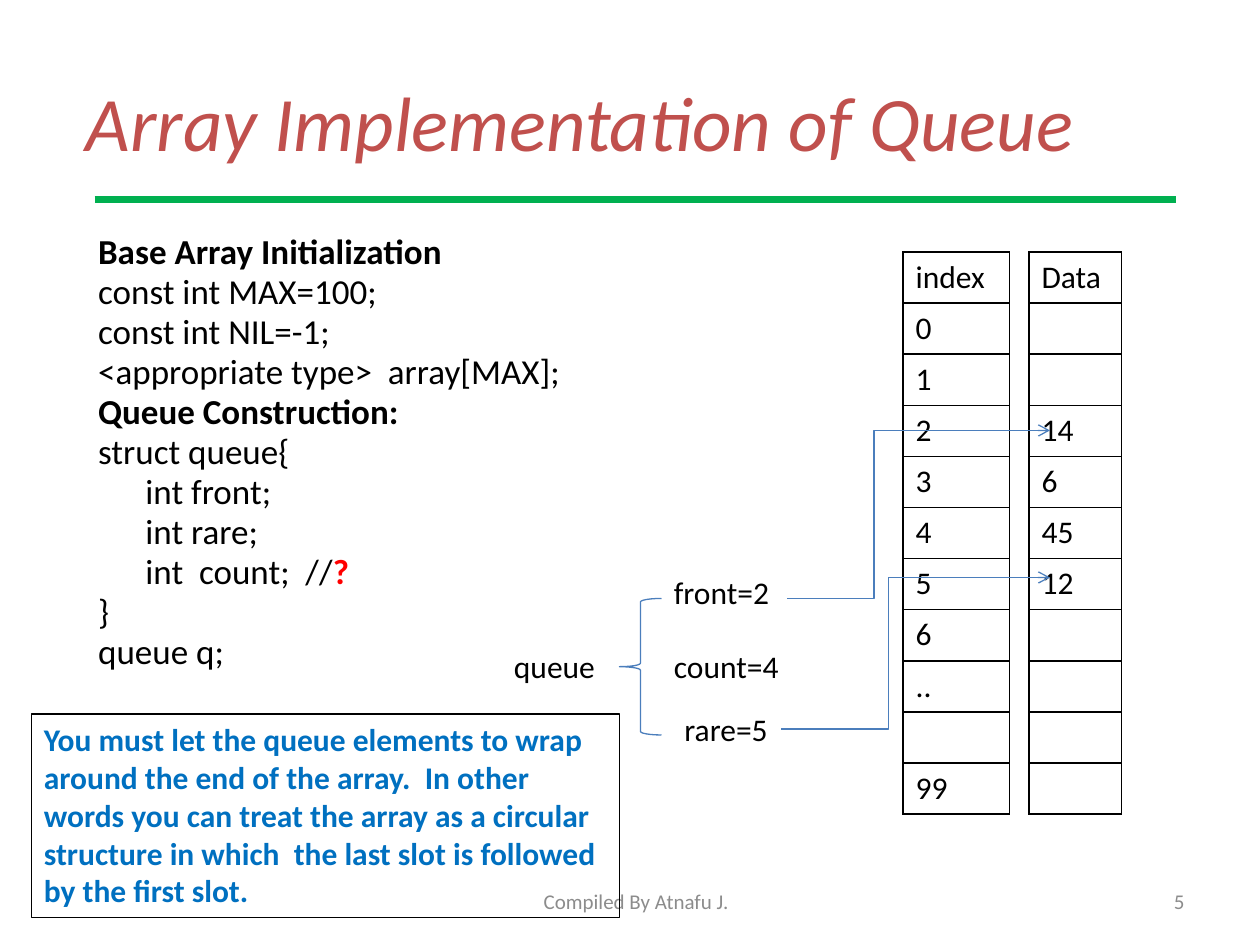
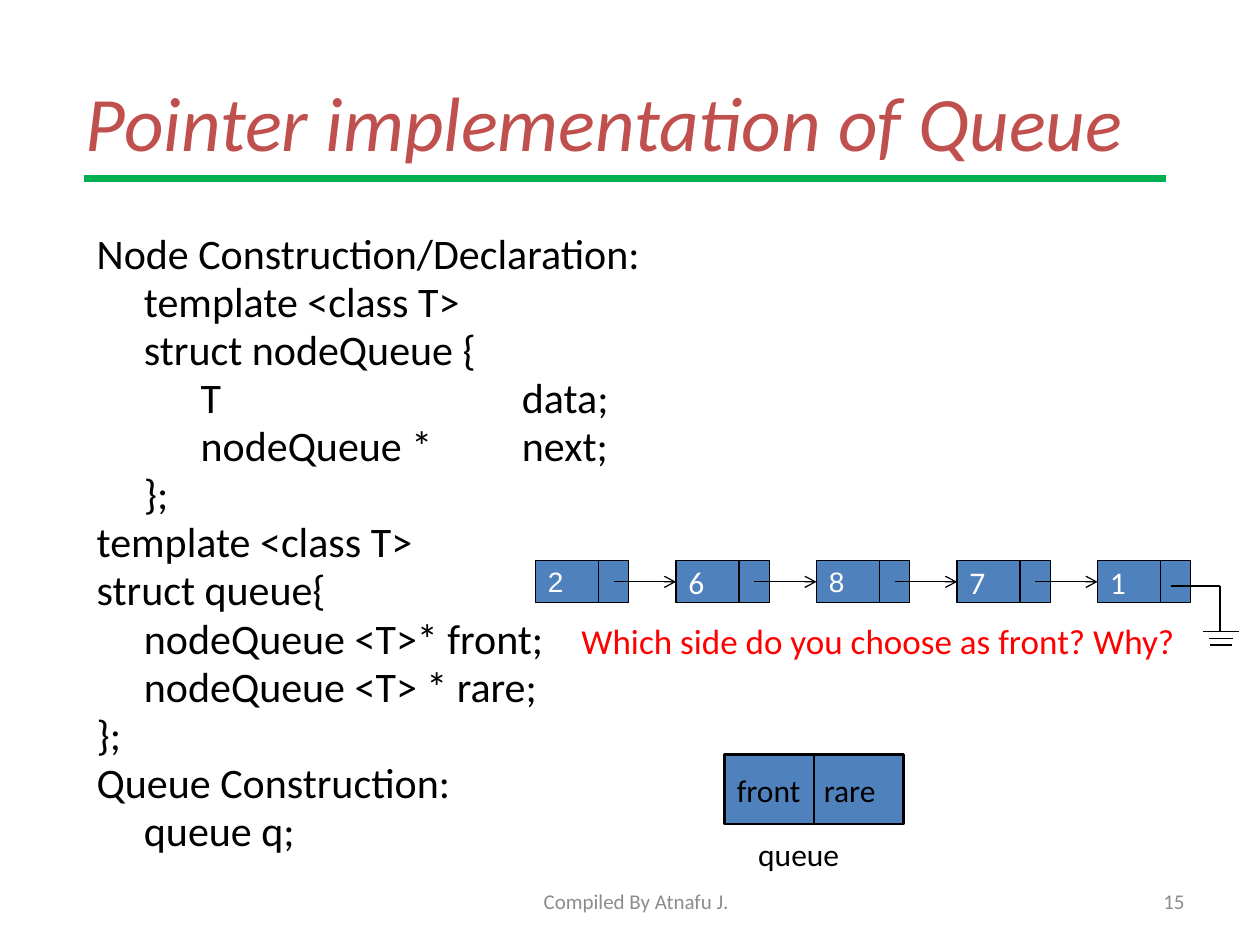
from lxml import etree
from pptx import Presentation
from pptx import util as u
from pptx.dml import color
from pptx.enum import shapes, text
from pptx.oxml import ns

BLACK, WHITE, RED, GREEN = "000000", "FFFFFF", "FF0000", "00B050"
BLUE, EDGE, NOTE, GREY, BRICK = "4F81BD", "4B7EBC", "0070C0", "8C8C8C", "C0504D"
MID, TOP = text.MSO_ANCHOR.MIDDLE, text.MSO_ANCHOR.TOP
LEFT, MIDST, RIGHT = text.PP_ALIGN.LEFT, text.PP_ALIGN.CENTER, text.PP_ALIGN.RIGHT
BASE = {"name": "Calibri", "size": 18, "bold": False, "italic": False, "color": BLACK}
TABS = (27, 59.4, 243, 277)


def rgb(code):
    return color.RGBColor.from_string(code)


def pts(*nums):
    return [u.Pt(n) for n in nums]


def sub(node, tag, **attrs):
    return etree.SubElement(node, ns.qn(tag), attrs)


class Deck:
    """Holds the presentation, its style and the slide being filled."""

    def __init__(self):
        self.prs = Presentation()
        self.prs.slide_width, self.prs.slide_height = pts(720, 540)

    def page(self, title, num, rule):
        """Start a slide; rule is the left end and height of the green line."""
        self.slide = self.prs.slides.add_slide(self.prs.slide_layouts[6])
        self.label((42, 24, 648, 90), title, MID, size=44, color=BRICK, italic=True)
        x, y = rule
        self.line((x, y), (x + 618, y), GREEN, 4.25)
        foot = {"size": 12, "color": GREY}
        self.label((246, 500.4, 228, 28.8), "Compiled By Atnafu J.", MID, MIDST, **foot)
        self.label((516, 500.4, 168, 28.8), num, MID, RIGHT, **foot)

    def run(self, para, words, **fmt):
        run = para.add_run()
        run.text = words
        for key, val in {**BASE, **fmt}.items():
            if key == "color":
                run.font.color.rgb = rgb(val)
            else:
                setattr(run.font, key, u.Pt(val) if key == "size" else val)

    def fill(self, shape, words, anchor, align, inset, **fmt):
        frame = shape.text_frame
        look = {"word_wrap": True, "vertical_anchor": anchor, "margin_right": u.Pt(inset)}
        for key, val in look.items():
            setattr(frame, key, val)
        para = frame.paragraphs[0]
        para.alignment = align
        self.run(para, words, **fmt)

    def label(self, box, words, anchor=TOP, align=LEFT, **fmt):
        shape = self.slide.shapes.add_textbox(*pts(*box))
        self.fill(shape, words, anchor, align, 7.2 if align == RIGHT else 0, **fmt)

    def code(self, box, size, lines):
        """Write one paragraph a line; a line is a list of (words, format) runs."""
        frame = self.slide.shapes.add_textbox(*pts(*box)).text_frame
        frame.word_wrap = True
        for i, line in enumerate(lines):
            para = frame.add_paragraph() if i else frame.paragraphs[0]
            para.line_spacing = 0.8
            para.space_before = u.Pt(0.184 * size)
            stops = sub(para._p.get_or_add_pPr(), "a:tabLst")
            for stop in TABS:
                sub(stops, "a:tab", pos=str(u.Pt(stop)), algn="l")
            for words, fmt in line:
                self.run(para, words, **{"size": size, **fmt})

    def shape(self, kind, box, fill=None, edge=BLACK, width=0.75):
        shape = self.slide.shapes.add_shape(kind, *pts(*box))
        shape.shadow.inherit = False
        if fill:
            shape.fill.solid()
            shape.fill.fore_color.rgb = rgb(fill)
        else:
            shape.fill.background()
        shape.line.color.rgb = rgb(edge)
        shape.line.width = u.Pt(width)
        return shape

    def block(self, box, words, fill=None, width=0.75, anchor=MID, inset=0, **fmt):
        shape = self.shape(shapes.MSO_SHAPE.RECTANGLE, box, fill, width=width)
        self.fill(shape, words, anchor, LEFT, inset, **fmt)

    def line(self, start, end, edge=BLACK, width=0.75, arrow=False, bend=None):
        """Draw a straight line, or an elbow that turns at the share bend."""
        kind = shapes.MSO_CONNECTOR.ELBOW if bend else shapes.MSO_CONNECTOR.STRAIGHT
        link = self.slide.shapes.add_connector(kind, *pts(*start, *end))
        link.line.color.rgb = rgb(edge)
        link.line.width = u.Pt(width)
        props = link._element.spPr
        if arrow:
            sub(props.find(ns.qn("a:ln")), "a:tailEnd", type="arrow")
        sub(props, "a:effectLst")
        if bend:
            guides = props.find(ns.qn("a:prstGeom")).find(ns.qn("a:avLst"))
            sub(guides, "a:gd", name="adj1", fmla=f"val {round(bend * 100000)}")

    def column(self, left, top, width, items, row=29.2):
        """Add a one-column table with black cell borders."""
        size = pts(left, top, width, row * len(items))
        table = self.slide.shapes.add_table(len(items), 1, *size).table
        table.first_row = table.horz_banding = False
        for i, words in enumerate(items):
            table.rows[i].height = u.Pt(row)
            cell = table.cell(i, 0)
            if words:
                self.run(cell.text_frame.paragraphs[0], words)
            props = cell._tc.get_or_add_tcPr()
            for side in "LRTB":
                edge = sub(props, f"a:ln{side}", w=str(u.Pt(1)))
                sub(sub(edge, "a:solidFill"), "a:srgbClr", val=BLACK)
            cell.fill.background()


def plain(*lines):
    return [[(line, {})] for line in lines]


def head(words):
    return [(words, {"bold": True})]


def array(deck):
    deck.page("Array Implementation of Queue", "5", (54, 114))
    deck.code((49, 132, 612, 372), 20, [
        head("Base Array Initialization"),
        *plain("const int MAX=100;", "const int NIL=-1;", "<appropriate type>  array[MAX];"),
        head("Queue Construction:"),
        *plain("struct queue{", "\tint front;", "\tint rare;"),
        [("\tint  count;  //", {}), ("?", {"color": RED, "bold": True})],
        *plain("}", "queue q;"),
    ])
    deck.column(588, 144, 52.8, ["Data", "", "", "14", "6", "45", "12", "", "", "", ""])
    deck.column(516, 144, 60.8, ["index", *"0123456", "..", "", "99"])
    for left, top, words in ((378, 324, "front=2"), (384, 402, "rare=5"),
                             (286.6, 366, "queue"), (378, 366, "count=4")):
        deck.label((left, top, 76, 28.8), words)
    deck.line((450, 342), (600, 246), EDGE, arrow=True, bend=0.33)
    deck.line((446.4, 416.6), (600, 330), EDGE, arrow=True, bend=0.4)
    deck.shape(shapes.MSO_SHAPE.LEFT_BRACE, (354, 342, 24, 78), edge=EDGE)
    deck.block((18, 408, 336, 116.4),
               "You must let the queue elements to wrap around the end of the array.  "
               "In other words you can treat the array as a circular structure in which  "
               "the last slot is followed by the first slot.",
               anchor=TOP, inset=9, color=NOTE, bold=True)


def chain(deck):
    """Draw the linked nodes and the ground sign that ends them."""
    left, top, step, high = 306, 320.4, 80.3, 23.8
    arial = {"name": "Arial", "size": 16}
    nodes = (("2", arial), ("6", {}), ("8", arial), ("7", {}), ("1", {}))
    for i, (words, fmt) in enumerate(nodes):
        x = left + i * step
        deck.block((x, top, 53.3, high), words, BLUE, color=WHITE, **fmt)
        deck.line((x + 36, top), (x + 36, top + high))
        if i < len(nodes) - 1:
            deck.line((x + 44.6, 332.5), (x + step, 332.5), arrow=True)
    mid = 697.2
    deck.line((669, 334.8), (mid, 334.8))
    deck.line((mid, 334.8), (mid, 361))
    for y, half in ((360.8, 10.4), (365, 6.8), (368.6, 6.1)):
        deck.line((mid + 0.5 - half, y), (mid + 0.5 + half, y))


def pointer(deck):
    deck.page("Pointer implementation of Queue", "15", (48, 102))
    ask = ("\tWhich side do you choose as front? Why?", {"size": 20, "color": RED})
    deck.code((48.2, 132, 638.6, 378), 24, [
        *plain("Node Construction/Declaration:", "\ttemplate <class T>",
               "\tstruct nodeQueue {", "\t\tT\tdata;", "\t\tnodeQueue *\tnext;", "\t};",
               "template <class T>", "struct queue{"),
        [("\tnodeQueue <T>* front;", {}), ask],
        *plain("\tnodeQueue <T> * rare;", "};", "Queue Construction:", "\tqueue q;"),
    ])
    chain(deck)
    for x, wide, words in ((463.7, 52.6, "rare"), (414, 51.1, "front")):
        deck.block((x, 431.3, wide, 39.6), words, BLUE, 1.5)
    deck.label((426.2, 473.8, 61.2, 28.8), "queue")


def main():
    deck = Deck()
    array(deck)
    pointer(deck)
    deck.prs.save("out.pptx")


if __name__ == "__main__":
    main()
